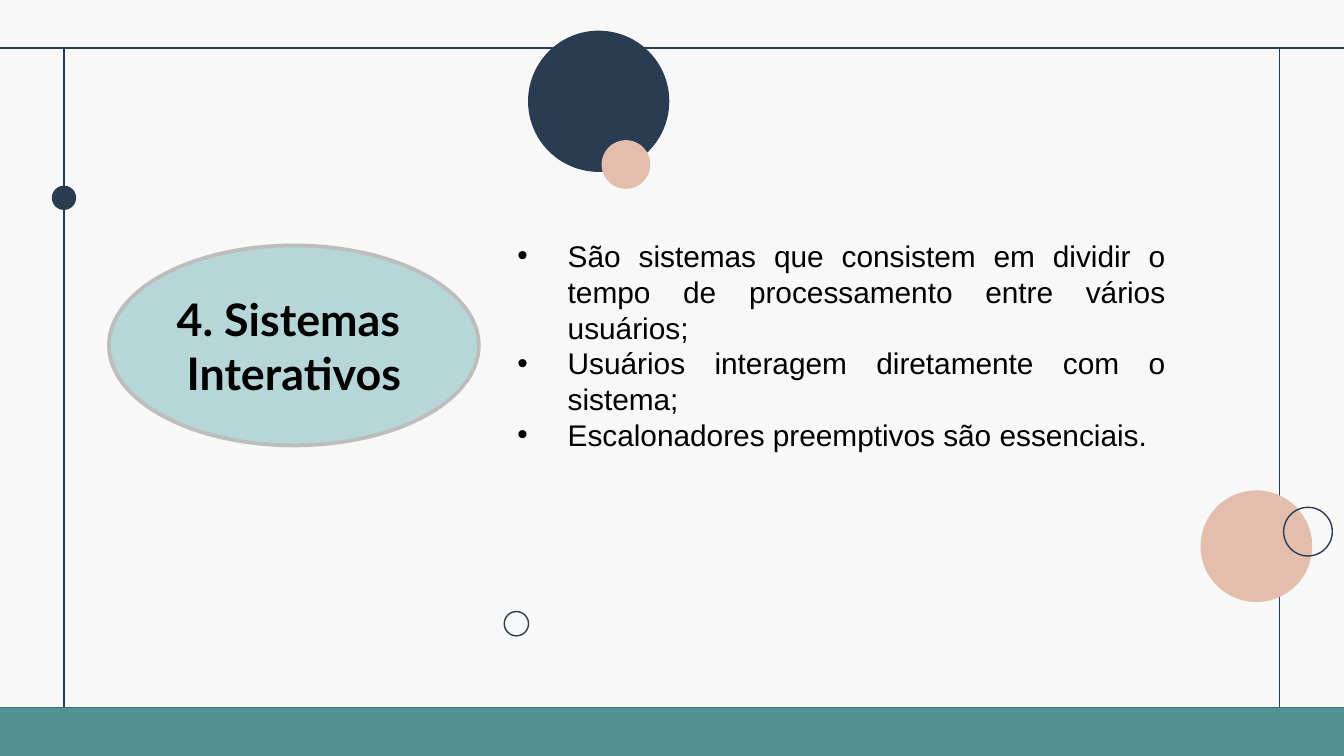
from lxml import etree
from pptx import Presentation
from pptx import util as u
from pptx.dml.color import RGBColor
from pptx.enum import shapes, text
from pptx.oxml.ns import qn

NAVY, TEAL, PEACH = "293C51", "539294", "E4BEAC"
BLACK = "000000"
WIDTH, HEIGHT = 25.4, 14.29
FRAME_TOP, FRAME_BOTTOM = 0.91, 13.37
FRAME_LEFT, FRAME_RIGHT = 1.21, 24.18

TITLE_LINES = ["4. Sistemas ", "Interativos"]
FEATURES = [
    "São sistemas que consistem em dividir o tempo de processamento entre vários usuários;",
    "Usuários interagem diretamente com o sistema;",
    "Escalonadores preemptivos são essenciais.",
]


def color(hex_value):
    return RGBColor.from_string(hex_value)


def add_rule(slide, x1, y1, x2, y2):
    rule = slide.shapes.add_connector(
        shapes.MSO_CONNECTOR.STRAIGHT, u.Cm(x1), u.Cm(y1), u.Cm(x2), u.Cm(y2))
    rule.line.color.rgb = color(NAVY)
    rule.line.width = u.Pt(0.75)
    etree.SubElement(rule._element.spPr, qn("a:effectLst"))


def add_figure(slide, kind, box, fill=None, outline=None, weight=0.75):
    figure = slide.shapes.add_shape(kind, *(u.Cm(v) for v in box))
    figure.shadow.inherit = False
    if fill:
        figure.fill.solid()
        figure.fill.fore_color.rgb = color(fill)
    else:
        figure.fill.background()
    if outline:
        figure.line.color.rgb = color(outline)
        figure.line.width = u.Pt(weight)
    else:
        figure.line.fill.background()
    return figure


def add_circle(slide, left, top, diameter, fill=None, outline=None):
    add_figure(slide, shapes.MSO_SHAPE.OVAL,
               (left, top, diameter, diameter), fill, outline)


def add_bullet(paragraph):
    """Hanging bullet in black."""
    properties = paragraph._p.get_or_add_pPr()
    indent = u.Cm(0.95)
    properties.set("marL", str(indent))
    properties.set("indent", str(-indent))
    bullet_color = etree.SubElement(properties, qn("a:buClr"))
    etree.SubElement(bullet_color, qn("a:srgbClr"), val=BLACK)
    etree.SubElement(properties, qn("a:buFont"), typeface="Arial")
    etree.SubElement(properties, qn("a:buChar"), char="•")


def write_paragraphs(frame, lines, font, size, align, bold=False, bullets=False):
    frame.word_wrap = True
    frame.vertical_anchor = text.MSO_ANCHOR.MIDDLE
    for index, line in enumerate(lines):
        paragraph = frame.add_paragraph() if index else frame.paragraphs[0]
        if bullets:
            add_bullet(paragraph)
        paragraph.alignment = align
        paragraph.line_spacing = u.Pt(size * 1.2)
        run = paragraph.add_run()
        run.text = line
        run.font.name = font
        run.font.size = u.Pt(size)
        run.font.bold = bold
        run.font.color.rgb = color(BLACK)


def add_frame(slide):
    add_rule(slide, 0, FRAME_BOTTOM, WIDTH, FRAME_BOTTOM)
    add_figure(slide, shapes.MSO_SHAPE.RECTANGLE,
               (0, FRAME_BOTTOM, WIDTH, HEIGHT - FRAME_BOTTOM), TEAL)
    add_rule(slide, 0, FRAME_TOP, WIDTH, FRAME_TOP)
    for x in (FRAME_RIGHT, FRAME_LEFT):
        add_rule(slide, x, FRAME_TOP, x, FRAME_BOTTOM)


def add_circles(slide):
    add_circle(slide, 22.69, 9.27, 2.11, fill=PEACH)
    add_circle(slide, 24.26, 9.59, 0.92, outline=NAVY)
    add_circle(slide, 9.98, 0.58, 2.67, fill=NAVY)
    add_circle(slide, 11.37, 2.65, 0.92, fill=PEACH)
    add_circle(slide, 9.53, 11.56, 0.46, outline=NAVY)
    add_circle(slide, 0.98, 3.51, 0.46, fill=NAVY)


def add_title(slide):
    title = add_figure(slide, shapes.MSO_SHAPE.OVAL, (2.06, 4.64, 6.99, 3.78),
                       "B7D6D7", "BDBDBD", 2)
    title.text_frame.margin_left = title.text_frame.margin_right = 0
    write_paragraphs(title.text_frame, TITLE_LINES, "Lato", 24,
                     text.PP_ALIGN.CENTER, bold=True)


def add_features(slide):
    features = slide.shapes.add_textbox(
        u.Cm(9.53), u.Cm(4.34), u.Cm(12.75), u.Cm(4.37))
    write_paragraphs(features.text_frame, FEATURES, "Arial", 16,
                     text.PP_ALIGN.JUSTIFY, bullets=True)


def main():
    deck = Presentation()
    deck.slide_width, deck.slide_height = u.Cm(WIDTH), u.Cm(HEIGHT)
    slide = deck.slides.add_slide(deck.slide_layouts[6])
    slide.background.fill.solid()
    slide.background.fill.fore_color.rgb = color("F8F8F8")
    add_frame(slide)
    add_circles(slide)
    add_title(slide)
    add_features(slide)
    deck.save("out.pptx")


if __name__ == "__main__":
    main()
